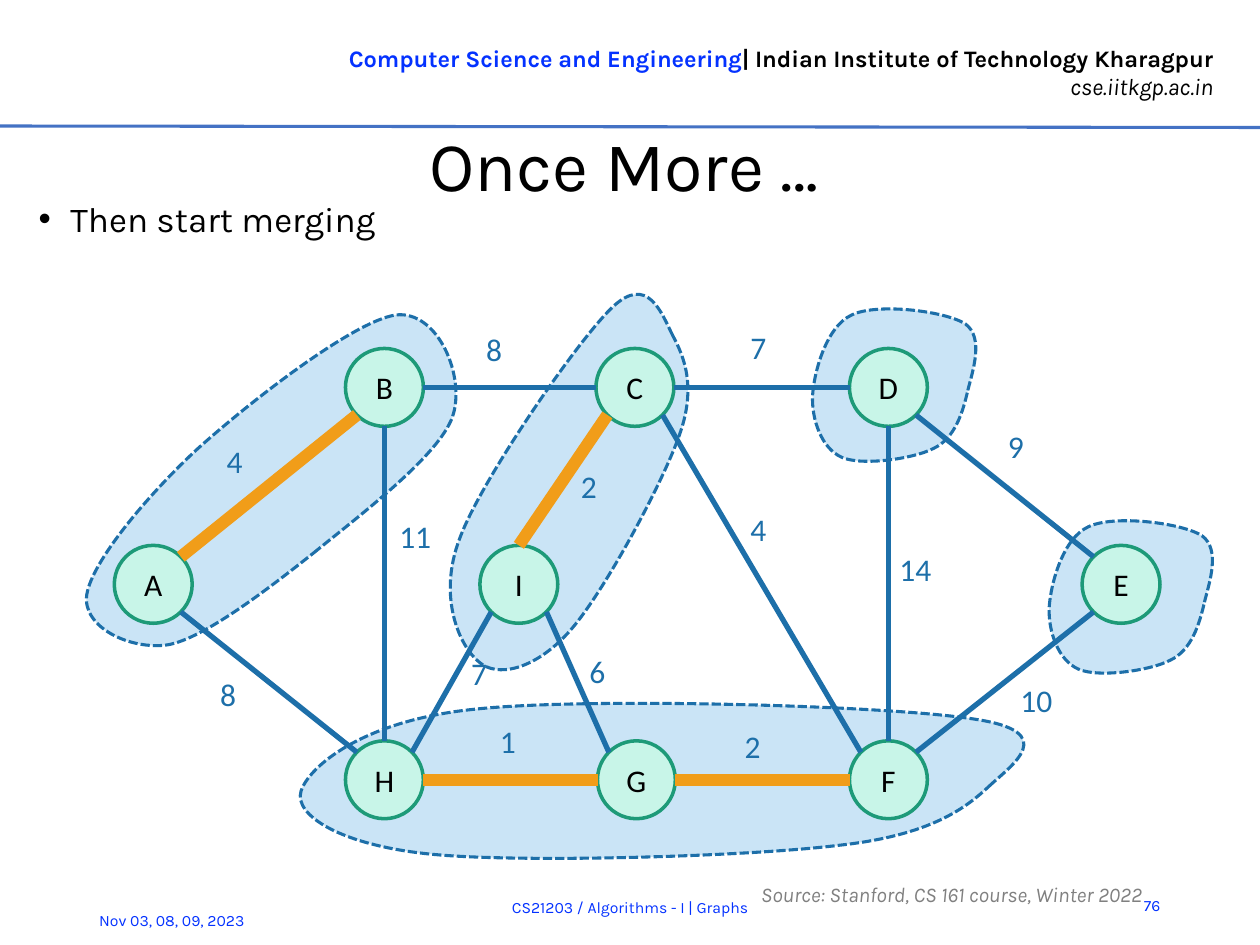
from math import hypot

from lxml import etree
from pptx import Presentation
from pptx import util as u
from pptx.dml.color import RGBColor
from pptx.enum import dml, shapes, text
from pptx.oxml.ns import qn

BLUE, ORANGE, NAVY, BLACK = "1D6FA9", "F19D19", "0432FF", "000000"
AL, ANCHOR = text.PP_ALIGN, text.MSO_ANCHOR
NODE, LABEL = 1.57, (2.18, 1.27)

# Centres of the graph nodes, in cm
TOP, MIDDLE, BOTTOM = 7.81, 11.78, 15.72
NODES = {
    "D": (17.91, TOP), "C": (12.8, TOP), "B": (7.75, TOP),
    "A": (3.09, MIDDLE), "I": (10.46, MIDDLE), "E": (22.6, MIDDLE),
    "H": (7.75, BOTTOM), "G": (12.83, BOTTOM), "F": (17.91, BOTTOM),
}

# from, to, weight, left and top of the weight, whether it is in the tree
EDGES = [
    ("C", "F", 4, (14.88, 10.16), False),
    ("C", "D", 7, (14.88, 6.48), False),
    ("E", "D", 9, (20.07, 8.48), False),
    ("E", "F", 10, (20.32, 13.61), False),
    ("D", "F", 14, (17.88, 10.97), False),
    ("I", "G", 6, (11.63, 13.01), False),
    ("G", "F", 2, (14.76, 14.53), True),
    ("I", "C", 2, (11.46, 9.3), True),
    ("B", "C", 8, (9.55, 6.52), False),
    ("A", "B", 4, (4.32, 8.79), True),
    ("A", "H", 8, (4.19, 13.49), False),
    ("G", "H", 1, (9.83, 14.43), True),
    ("I", "H", 7, (9.25, 13.06), False),
    ("H", "B", 11, (7.8, 10.29), False),
]
SIDES = {("I", "C"): (0, -1)}  # the edge leaves I at its top

# Closed Bézier outlines: a start, then two controls and an end in turn
SINGLE = [
    (19.51, 7.87), (19.61, 7.47), (19.84, 6.81), (19.46, 6.53), (19.05, 6.27),
    (17.68, 6.1), (17.17, 6.35), (16.66, 6.58), (16.41, 7.49), (16.38, 7.98),
    (16.36, 8.46), (16.56, 9.04), (16.97, 9.22), (17.37, 9.4), (18.42, 9.25),
    (18.82, 9.04), (19.25, 8.84), (19.41, 8.31),
]
GROUP_CI = [
    (13.56, 6.76), (13.34, 6.32), (13.06, 5.51), (12.34, 6.2), (11.63, 6.88),
    (9.7, 9.68), (9.27, 10.85), (8.81, 12.04), (9.27, 13.03), (9.65, 13.34),
    (10.01, 13.67), (10.77, 13.51), (11.46, 12.75), (12.14, 12.01), (13.34, 9.78),
    (13.69, 8.79), (14.05, 7.8), (13.79, 7.19),
]
GROUP_AB = [
    (6.32, 11.15), (7.29, 10.36), (8.84, 9.19), (9.12, 8.41), (9.4, 7.62),
    (8.84, 6.25), (7.98, 6.35), (7.11, 6.48), (5, 8.13), (3.96, 9.07),
    (2.95, 10.01), (1.85, 11.33), (1.75, 11.99), (1.65, 12.65), (2.64, 13.11),
    (3.38, 13), (4.09, 12.88), (5.36, 11.91),
]
GROUP_HGF = [
    (19.94, 15.85), (20.4, 15.42), (21.39, 14.76), (19.66, 14.5), (17.93, 14.22),
    (11.81, 14.05), (9.55, 14.3), (7.29, 14.53), (6.22, 15.47), (6.07, 15.95),
    (5.92, 16.43), (6.86, 17.04), (8.69, 17.22), (10.49, 17.4), (15.06, 17.27),
    (16.92, 17.04), (18.77, 16.84), (19.48, 16.28),
]
# outline, shift right and down
GROUPS = [(SINGLE, 4.77, 4.27), (SINGLE, 0, 0), (GROUP_CI, 0, 0),
          (GROUP_AB, 0, 0), (GROUP_HGF, 0, 0)]

# box, paragraphs of (text, size, colour, font format), paragraph and frame format
FRAME = {"vertical_anchor": ANCHOR.MIDDLE, "word_wrap": True}
TITLE_INSETS = {"margin_left": 0, "margin_right": 0, "margin_top": u.Cm(0.03),
                "margin_bottom": 0}
TEXTS = [
    ((6.73, 0.76, 17.98, 1.42),
     [[("Computer Science and Engineering", 13.5, NAVY, {"bold": True}),
       ("| Indian Institute of Technology Kharagpur", 13.5, BLACK, {"bold": True})],
      [("cse.iitkgp.ac.in", 13.5, BLACK, {"italic": True})]],
     {"alignment": AL.RIGHT}, {"word_wrap": False}),
    ((22.4, 17.73, 1.24, 1.02), [[("76", 9, NAVY, {})]], {"alignment": AL.RIGHT}, FRAME),
    ((0.82, 2.42, 23.52, 1.73), [[("Once More …", 40, BLACK, {})]],
     {"alignment": AL.CENTER, "space_before": u.Pt(0.7)}, FRAME | TITLE_INSETS),
    ((1.75, 18.04, 4.45, 1.02), [[("Nov 03, 08, 09, 2023", 9, NAVY, {})]], {}, FRAME),
    ((4.19, 17.78, 17.02, 1.02), [[("CS21203 / Algorithms - I | Graphs", 9, NAVY, {})]],
     {"alignment": AL.CENTER}, FRAME),
    ((15.09, 17.61, 10.21, 0.58),
     [[("Source: Stanford, CS 161 course, Winter 2022", 12, "808080", {"italic": True})]],
     {"line_spacing": u.Pt(21.3)}, FRAME),
]
BULLET = ((0.53, 4.1, 23.8, 1.02), [[("Then start merging", 20, BLACK, {})]],
          {"line_spacing": u.Pt(17), "space_before": u.Pt(2), "space_after": u.Pt(2)},
          {"word_wrap": True})


def rgb(value):
    return RGBColor.from_string(value)


def cm(*values):
    return [u.Cm(v) for v in values]


def assign(obj, values):
    for name, value in values.items():
        setattr(obj, name, value)


def write(tf, paragraphs, para=None, frame=None, font="Karla"):
    assign(tf, frame or {})
    for i, runs in enumerate(paragraphs):
        p = tf.add_paragraph() if i else tf.paragraphs[0]
        assign(p, para or {})
        for words, size, color, extra in runs:
            r = p.add_run()
            r.text = words
            assign(r.font, {"name": font, "size": u.Pt(size), **extra})
            r.font.color.rgb = rgb(color)


def add_text(s, box, *content, **options):
    tb = s.shapes.add_textbox(*cm(*box))
    write(tb.text_frame, *content, **options)
    return tb


def paint(sp, fill, line, width):
    sp.shadow.inherit = False
    sp.fill.solid()
    sp.fill.fore_color.rgb = rgb(fill)
    sp.line.color.rgb = rgb(line)
    sp.line.width = u.Pt(width)


def add_line(s, start, end, color, width):
    c = s.shapes.add_connector(shapes.MSO_CONNECTOR.STRAIGHT, *cm(*start, *end))
    c.line.color.rgb = rgb(color)
    c.line.width = u.Pt(width)
    etree.SubElement(c._element.spPr, qn("a:effectLst"))


def sample(curve, steps=12):
    """Points along one cubic Bézier curve."""
    for t in (n / steps for n in range(1, steps + 1)):
        weights = ((1 - t) ** 3, 3 * t * (1 - t) ** 2, 3 * t * t * (1 - t), t ** 3)
        yield tuple(sum(w * v for w, v in zip(weights, axis)) for axis in zip(*curve))


def add_group(s, outline, dx, dy):
    """Size a freeform by points on its curves, then draw it with the curves."""
    knots = [cm(x + dx, y + dy) for x, y in outline + outline[:1]]
    curves = [knots[i:i + 4] for i in range(0, len(outline), 3)]
    builder = s.shapes.build_freeform(*knots[0])
    builder.add_line_segments([pt for curve in curves for pt in sample(curve)])
    sp = builder.convert_to_shape()
    path = next(sp._element.iter(qn("a:path")))
    for line in path.findall(qn("a:lnTo")) + path.findall(qn("a:close")):
        path.remove(line)
    for curve in curves:
        bezier = etree.SubElement(path, qn("a:cubicBezTo"))
        for x, y in curve[1:]:
            etree.SubElement(bezier, qn("a:pt"), x=str(x - sp.left), y=str(y - sp.top))
    etree.SubElement(path, qn("a:close"))
    paint(sp, "CAE4F6", BLUE, 1.75)
    sp.line.dash_style = dml.MSO_LINE.SQUARE_DOT


def sign(v):
    return (v > 0) - (v < 0)


def rim(a, b):
    """Point on node a's rim, in the one of eight directions that faces b."""
    (ax, ay), (bx, by) = NODES[a], NODES[b]
    dx, dy = SIDES.get((a, b), (sign(bx - ax), sign(by - ay)))
    k = NODE / 2 / hypot(dx, dy)
    return ax + dx * k, ay + dy * k


def main():
    prs = Presentation()
    prs.slide_width, prs.slide_height = cm(25.4, 19.05)
    s = prs.slides.add_slide(prs.slide_layouts[6])

    add_line(s, (0, 2.54), (25.4, 2.57), "4472C4", 1.75)
    for item in TEXTS:
        add_text(s, *item)
    p = add_text(s, *BULLET).text_frame.paragraphs[0]
    pPr = p._p.get_or_add_pPr()
    pPr.set("marL", str(u.Cm(0.64)))
    pPr.set("indent", str(u.Cm(-0.64)))
    etree.SubElement(pPr, qn("a:buFont"), typeface="Arial")
    etree.SubElement(pPr, qn("a:buChar"), char="•")

    for group in GROUPS:
        add_group(s, *group)
    for name, (x, y) in NODES.items():
        sp = s.shapes.add_shape(shapes.MSO_SHAPE.OVAL,
                                *cm(x - NODE / 2, y - NODE / 2, NODE, NODE))
        paint(sp, "C8F5E8", "1D9A78", 2)
        write(sp.text_frame, [[(name, 18, BLACK, {})]], {"alignment": AL.CENTER},
              FRAME, font="Calibri")
    for a, b, _, _, in_tree in EDGES:
        add_line(s, rim(a, b), rim(b, a), *((ORANGE, 7) if in_tree else (BLUE, 3)))
    for _, _, weight, place, _ in EDGES:
        add_text(s, place + LABEL, [[(str(weight), 18, BLUE, {})]],
                 frame={"word_wrap": True}, font="Calibri")
    prs.save("out.pptx")


if __name__ == "__main__":
    main()
